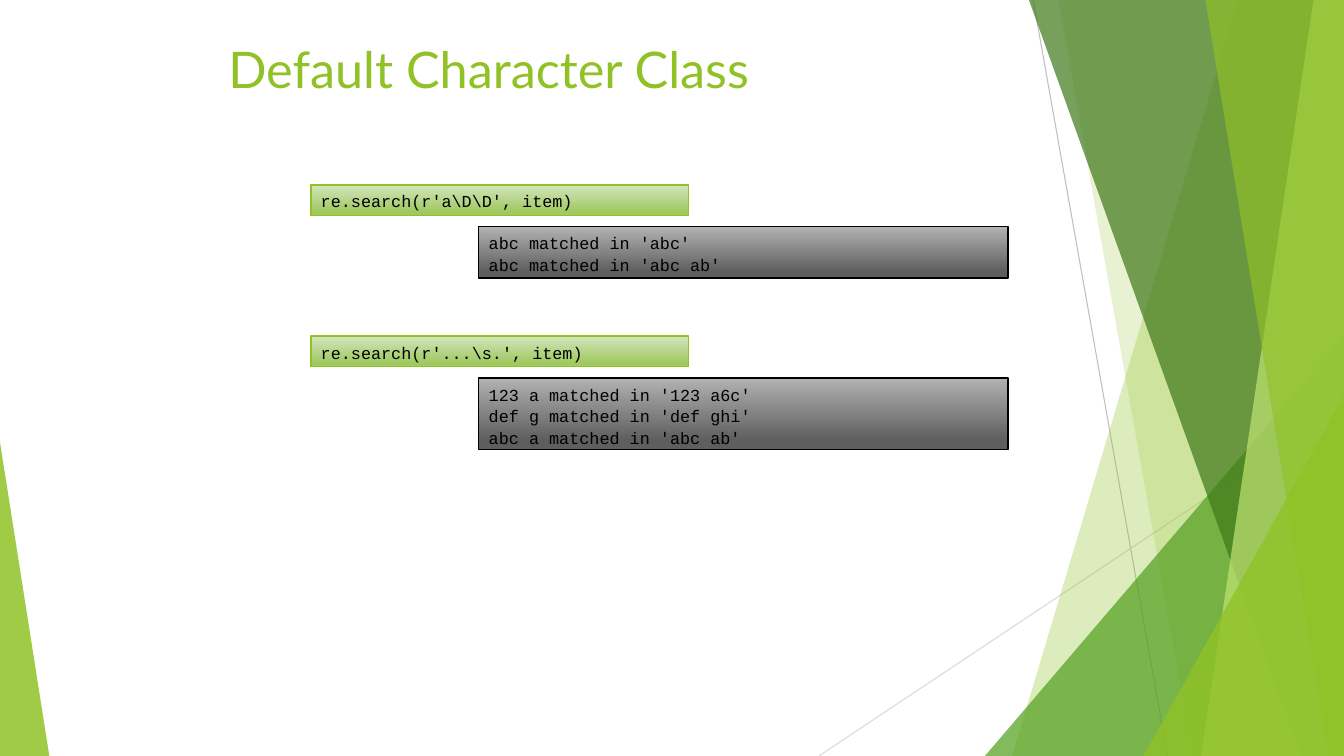
from lxml.etree import SubElement
from pptx import Presentation
from pptx.dml.color import RGBColor
from pptx.enum.shapes import MSO_CONNECTOR, MSO_SHAPE
from pptx.enum.text import MSO_ANCHOR, PP_ALIGN
from pptx.oxml.ns import qn
from pptx.util import Pt

PX = 9525  # EMU per px, 96 px to the inch
WIDTH, HEIGHT = 1280, 720

BLACK = RGBColor(0x00, 0x00, 0x00)
LIME = RGBColor(0x90, 0xC2, 0x26)
GREEN = RGBColor(0x54, 0xA0, 0x21)
FOREST = RGBColor(0x3F, 0x78, 0x19)
PALE_LIME = RGBColor(0xC0, 0xE4, 0x74)
RAY_GREY = RGBColor(0xBF, 0xBF, 0xBF)
RAY_PALE = RGBColor(0xD9, 0xD9, 0xD9)
CODE_TOP = RGBColor(0xD3, 0xE5, 0xBE)
CODE_BOTTOM = RGBColor(0xA0, 0xC9, 0x62)
OUTPUT_TOP = RGBColor(0xB2, 0xB2, 0xB2)
OUTPUT_BOTTOM = RGBColor(0x5E, 0x5E, 0x5E)

CODE_STYLE = {"colours": (CODE_TOP, CODE_BOTTOM), "border": LIME}
OUTPUT_STYLE = {"colours": (OUTPUT_TOP, OUTPUT_BOTTOM), "border": BLACK}

EXAMPLES = [
    (["re.search(r'a\\D\\D', item)"],
     ["abc matched in 'abc'", "abc matched in 'abc ab'"]),
    (["re.search(r'...\\s.', item)"],
     ["123 a matched in '123 a6c'", "def g matched in 'def ghi'",
      "abc a matched in 'abc ab'"]),
]


def px(*lengths):
    return [round(length * PX) for length in lengths]


def paint(facet, colour, opacity):
    facet.shadow.inherit = False
    facet.fill.solid()
    facet.fill.fore_color.rgb = colour
    facet.line.fill.background()
    rgb = facet.fill._xPr.find(qn("a:solidFill"))[0]
    SubElement(rgb, qn("a:alpha"), val=str(opacity * 1000))


def add_ray(slide, start, end, colour):
    ray = slide.shapes.add_connector(MSO_CONNECTOR.STRAIGHT, *px(*start, *end))
    ray.line.color.rgb = colour
    ray.line.width = Pt(0.75)
    SubElement(ray._element.spPr, qn("a:effectLst"))


def add_band(slide, top_x, bottom_x, colour, opacity):
    """Band from a slanted left edge to the right edge of the slide."""
    outline = slide.shapes.build_freeform(top_x, 0, scale=PX)
    outline.add_line_segments([(WIDTH, 0), (WIDTH, HEIGHT), (bottom_x, HEIGHT)])
    paint(outline.convert_to_shape(), colour, opacity)


def add_corner(slide, left, top, width, apex, colour, opacity):
    """Triangle standing on the bottom edge of the slide."""
    corner = slide.shapes.add_shape(
        MSO_SHAPE.ISOSCELES_TRIANGLE, *px(left, top, width, HEIGHT - top))
    corner.adjustments[0] = apex
    paint(corner, colour, opacity)


def add_backdrop(slide):
    add_ray(slide, (984, 0), (1112, HEIGHT), RAY_GREY)
    add_ray(slide, (WIDTH, 387), (780, HEIGHT), RAY_PALE)
    add_band(slide, 1179, 964, LIME, 30)
    add_band(slide, 1008, 1136, LIME, 20)
    add_corner(slide, 938, 320, 342, 1, GREEN, 72)
    add_band(slide, 980, 1239, FOREST, 70)
    add_band(slide, 1251, 1144, PALE_LIME, 70)
    add_band(slide, 1148, 1265, LIME, 65)
    add_corner(slide, 1089, 377, 191, 1, LIME, 80)
    add_corner(slide, 0, 421, 47, 0, LIME, 85)


def write(frame, lines, font, spacing=1.0):
    frame.word_wrap = True
    frame.text = "\n".join(lines)
    for paragraph in frame.paragraphs:
        paragraph.alignment = PP_ALIGN.LEFT
        paragraph.line_spacing = spacing
        for key, value in font.items():
            setattr(paragraph.runs[0].font, key, value)
        paragraph.runs[0].font.color.rgb = font_colour(font)


def font_colour(font):
    return LIME if font["name"] == "Lato" else BLACK


def add_title(slide, left, top, width, height):
    title = slide.shapes.add_textbox(*px(left, top, width, height))
    title.text_frame.vertical_anchor = MSO_ANCHOR.TOP
    write(title.text_frame, ["Default Character Class"],
          {"name": "Lato", "size": Pt(36)})


def add_listing(slide, left, top, width, lines, style):
    height = 10 + 19.4 * len(lines)
    listing = slide.shapes.add_shape(
        MSO_SHAPE.RECTANGLE, *px(left, top, width, round(height)))
    listing.shadow.inherit = False
    listing.fill.gradient()
    listing.fill.gradient_angle = 270
    for stop, place, colour in zip(
            listing.fill.gradient_stops, (0, 0.88), style["colours"]):
        stop.position = place
        stop.color.rgb = colour
    listing.line.color.rgb = style["border"]
    listing.line.width = Pt(1)
    listing.text_frame.vertical_anchor = MSO_ANCHOR.TOP
    write(listing.text_frame, lines,
          {"name": "Courier New", "size": Pt(12)}, spacing=1.07)


def add_example(slide, left, top, code, output):
    add_listing(slide, left, top, 360, code, CODE_STYLE)
    add_listing(slide, left + 160, top + 40, 504, output, OUTPUT_STYLE)


def main():
    deck = Presentation()
    deck.slide_width, deck.slide_height = px(WIDTH, HEIGHT)
    slide = deck.slides.add_slide(deck.slide_layouts[6])
    add_backdrop(slide)
    add_title(slide, 208, 32, 864, 120)
    for row, (code, output) in enumerate(EXAMPLES):
        add_example(slide, 296, 176 + 144 * row, code, output)
    deck.save("out.pptx")


if __name__ == "__main__":
    main()
